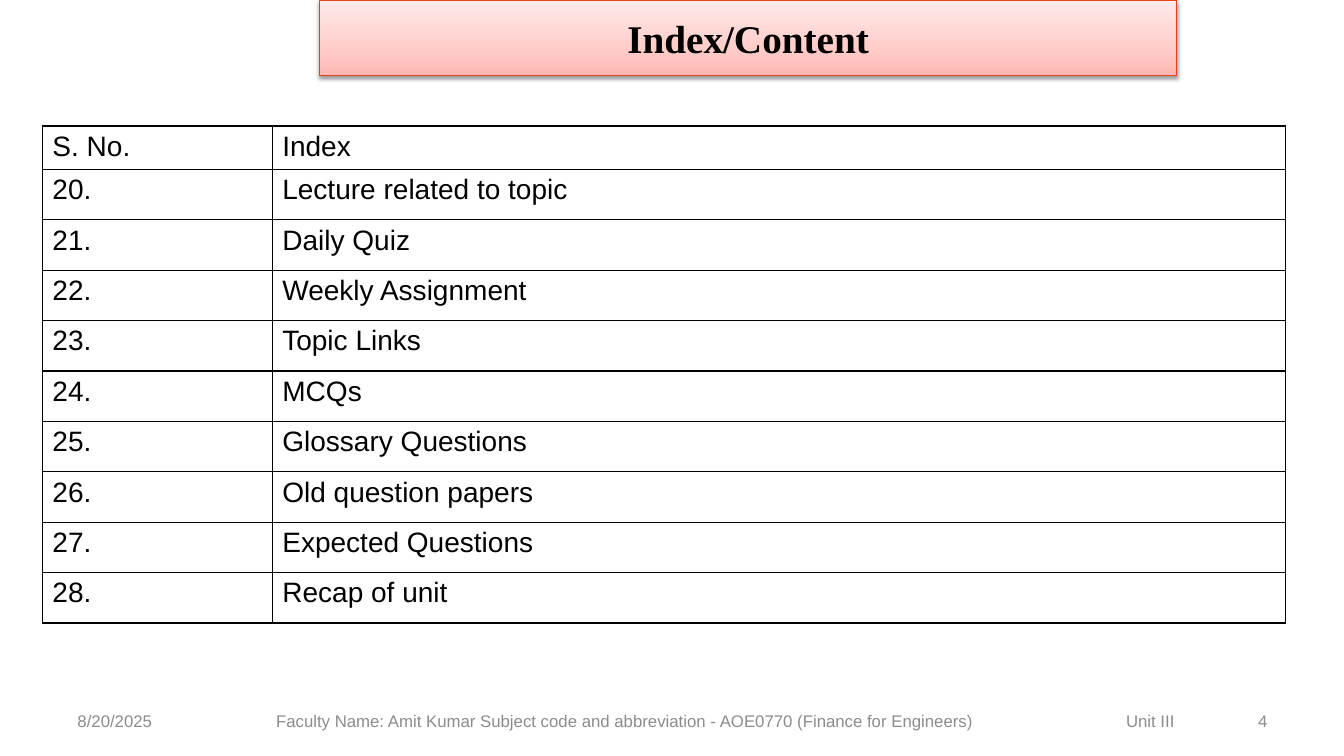
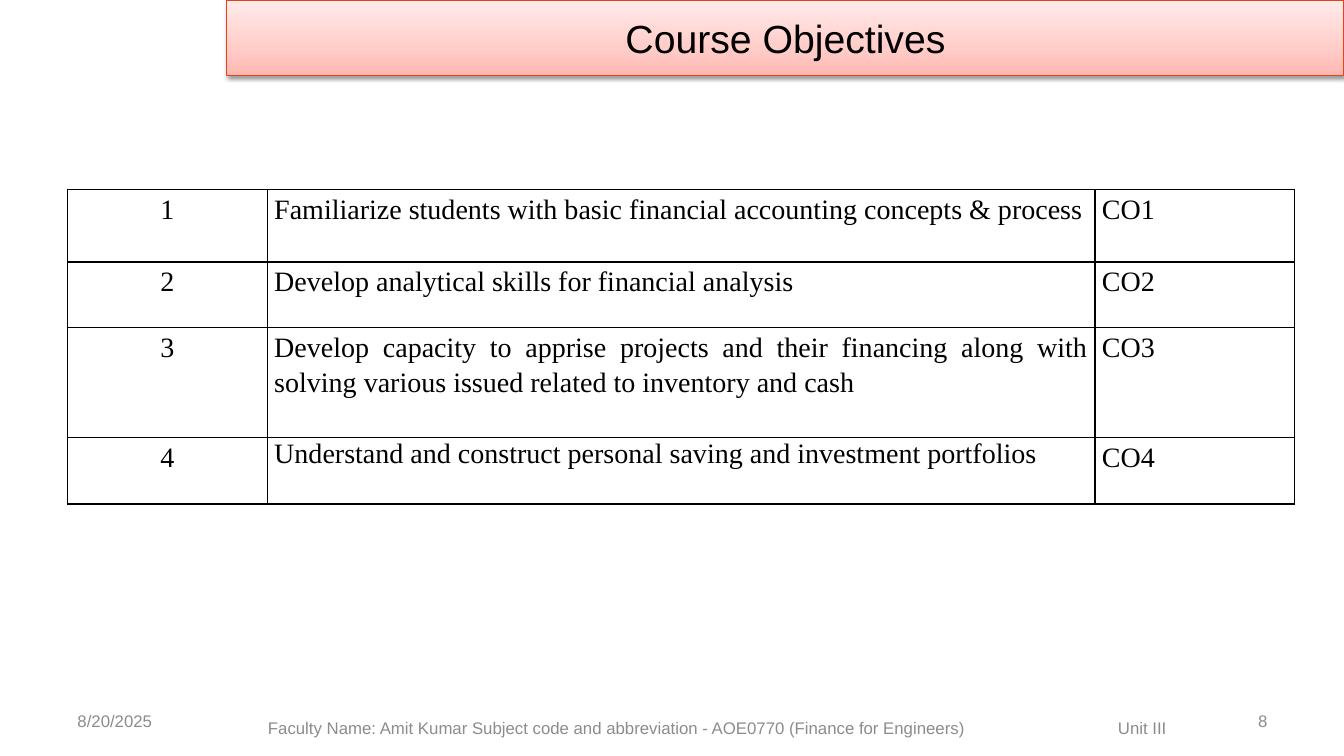
import pptx
import pptx.util
import pptx.oxml
import pptx.oxml.ns
import pptx.dml.color
import pptx.enum.shapes
import pptx.enum.text

Inches = pptx.util.Inches
ALIGN = pptx.enum.text.PP_ALIGN
ANCHOR = pptx.enum.text.MSO_ANCHOR
SPACE = pptx.oxml.ns.nsdecls("a")
HUES = {"ink": "000000", "gray": "8C8C8C", "edge": "E6431D",
        "deep": "FFB7B1", "mid": "FFCCC8", "pale": "FFEBEA"}
SANS, SERIF = "Arial", "Times New Roman"
NOTE = {"name": SANS, "size": pptx.util.Pt(12)}
BODY = {"name": SANS, "size": pptx.util.Pt(20)}
HEAD = {"name": SANS, "size": pptx.util.Pt(28)}
FACULTY = ("Faculty Name: Amit Kumar Subject code and abbreviation"
           " - AOE0770 (Finance for Engineers)")
INDEX = ["Lecture related to topic", "Daily Quiz", "Weekly Assignment",
         "Topic Links", "MCQs", "Glossary Questions", "Old question papers",
         "Expected Questions", "Recap of unit"]
GOALS = ["Familiarize students with basic financial accounting concepts & process",
         "Develop analytical skills for financial analysis",
         "Develop capacity to apprise projects and their financing along with "
         "solving various issued related to inventory and cash",
         "Understand and construct personal saving and investment portfolios"]


def color(hue):
    """Return the named colour."""
    return pptx.dml.color.RGBColor.from_string(HUES[hue])


def apply(item, looks):
    """Set each attribute in a dict of format values."""
    for key, value in looks.items():
        setattr(item, key, value)


def write(frame, text, font, hue="ink", **looks):
    """Put one styled paragraph in a text frame."""
    para = frame.paragraphs[0]
    para.text = text
    apply(para, looks)
    for run in para.runs:
        apply(run.font, font)
        run.font.color.rgb = color(hue)
    return para


def label(slide, box, text, align=ALIGN.LEFT):
    """Add a small gray text box."""
    frame = slide.shapes.add_textbox(*map(Inches, box)).text_frame
    apply(frame, {"word_wrap": True, "vertical_anchor": ANCHOR.MIDDLE})
    return write(frame, text, NOTE, "gray", alignment=align)


def footer(slide, page, left, top):
    """Add date, course line and page number."""
    label(slide, (0.67, 6.95, 1.8, 0.4), "8/20/2025")
    para = label(slide, (left, top, 9.3, 0.4), FACULTY + "\tUnit III")
    stop = Inches(8.43)
    para._p.get_or_add_pPr().append(pptx.oxml.parse_xml(
        f'<a:tabLst {SPACE}><a:tab pos="{stop}" algn="l"/></a:tabLst>'))
    label(slide, (11.87, 6.95, 0.8, 0.4), str(page), ALIGN.RIGHT)


def banner(slide, left, width, text, font):
    """Add the shaded title band at the top."""
    band = slide.shapes.add_shape(
        pptx.enum.shapes.MSO_SHAPE.RECTANGLE,
        *map(Inches, (left, 0, width, 0.75)))
    band.line.color.rgb = color("edge")
    band.line.width = pptx.util.Pt(0.75)
    band.shadow.inherit = False
    stops = "".join(
        f'<a:gs pos="{spot * 1000}"><a:srgbClr val="{HUES[hue]}"/></a:gs>'
        for spot, hue in ((0, "deep"), (35, "mid"), (100, "pale")))
    props = band._element.spPr
    props.find(pptx.oxml.ns.qn("a:prstGeom")).addnext(pptx.oxml.parse_xml(
        f'<a:gradFill {SPACE} rotWithShape="1"><a:gsLst>{stops}</a:gsLst>'
        '<a:lin ang="16200000" scaled="0"/></a:gradFill>'))
    blur, drop = pptx.util.Pt(3.1), pptx.util.Pt(1.6)
    props.find(pptx.oxml.ns.qn("a:effectLst")).append(pptx.oxml.parse_xml(
        f'<a:outerShdw {SPACE} blurRad="{blur}" dist="{drop}" dir="5400000"'
        f' rotWithShape="0"><a:srgbClr val="{HUES["ink"]}">'
        '<a:alpha val="38000"/></a:srgbClr></a:outerShdw>'))
    band.text_frame.vertical_anchor = ANCHOR.MIDDLE
    write(band.text_frame, text, font, alignment=ALIGN.CENTER)


def border(cell):
    """Clear a cell's fill and rule its four sides."""
    cell.fill.background()
    props = cell._tc.get_or_add_tcPr()
    for spot, side in enumerate("LRTB"):
        props.insert(spot, pptx.oxml.parse_xml(
            f'<a:ln{side} {SPACE} w="{pptx.util.Pt(1)}"><a:solidFill>'
            f'<a:srgbClr val="{HUES["ink"]}"/></a:solidFill></a:ln{side}>'))


def grid(slide, left, top, widths, heights, rows, font, looks, inset=None):
    """Add a ruled table with one paragraph format per column."""
    table = slide.shapes.add_table(
        len(heights), len(widths), Inches(left), Inches(top),
        Inches(sum(widths)), Inches(sum(heights))).table
    apply(table, {"first_row": False, "horz_banding": False})
    for col, width in zip(table.columns, widths):
        col.width = Inches(width)
    for row, height, texts in zip(table.rows, heights, rows):
        row.height = Inches(height)
        for cell, text, look in zip(row.cells, texts, looks):
            border(cell)
            apply(cell, inset or {})
            write(cell.text_frame, text, font, **look)
    return table


def contents(slide):
    """Build the index slide."""
    rows = [("S. No.", "Index")]
    rows += [(f"{num}.", text) for num, text in enumerate(INDEX, 20)]
    grid(slide, 0.42, 1.25, (2.28, 10.05), [0.43] + [0.5] * len(INDEX),
         rows, BODY, ({}, {}))
    banner(slide, 3.17, 8.5, "Index/Content",
           {**HEAD, "name": SERIF, "bold": True})
    footer(slide, 4, 2.64, 6.95)


def course(slide):
    """Build the objectives slide."""
    banner(slide, 2.25, 11.08, "Course Objectives", HEAD)
    rows = [(str(num), text, f"CO{num}") for num, text in enumerate(GOALS, 1)]
    looks = [{"alignment": align, "line_spacing": 1.15}
             for align in (ALIGN.CENTER, ALIGN.JUSTIFY, ALIGN.LEFT)]
    inset = {"margin_left": Inches(0.07), "margin_right": Inches(0.07),
             "margin_top": 0, "margin_bottom": 0}
    table = grid(slide, 0.67, 1.88, (1.98, 8.21, 1.98),
                 (0.72, 0.65, 1.09, 0.66), rows,
                 {**BODY, "name": SERIF}, looks, inset)
    last = table.cell(len(GOALS) - 1, 1).text_frame.paragraphs[0]
    last.line_spacing = 1.05
    footer(slide, 8, 2.56, 7.02)


def main():
    """Build and save the deck."""
    deck = pptx.Presentation()
    apply(deck, {"slide_width": Inches(13.33), "slide_height": Inches(7.5)})
    for build in (contents, course):
        build(deck.slides.add_slide(deck.slide_layouts[6]))
    deck.save("out.pptx")


if __name__ == "__main__":
    main()
